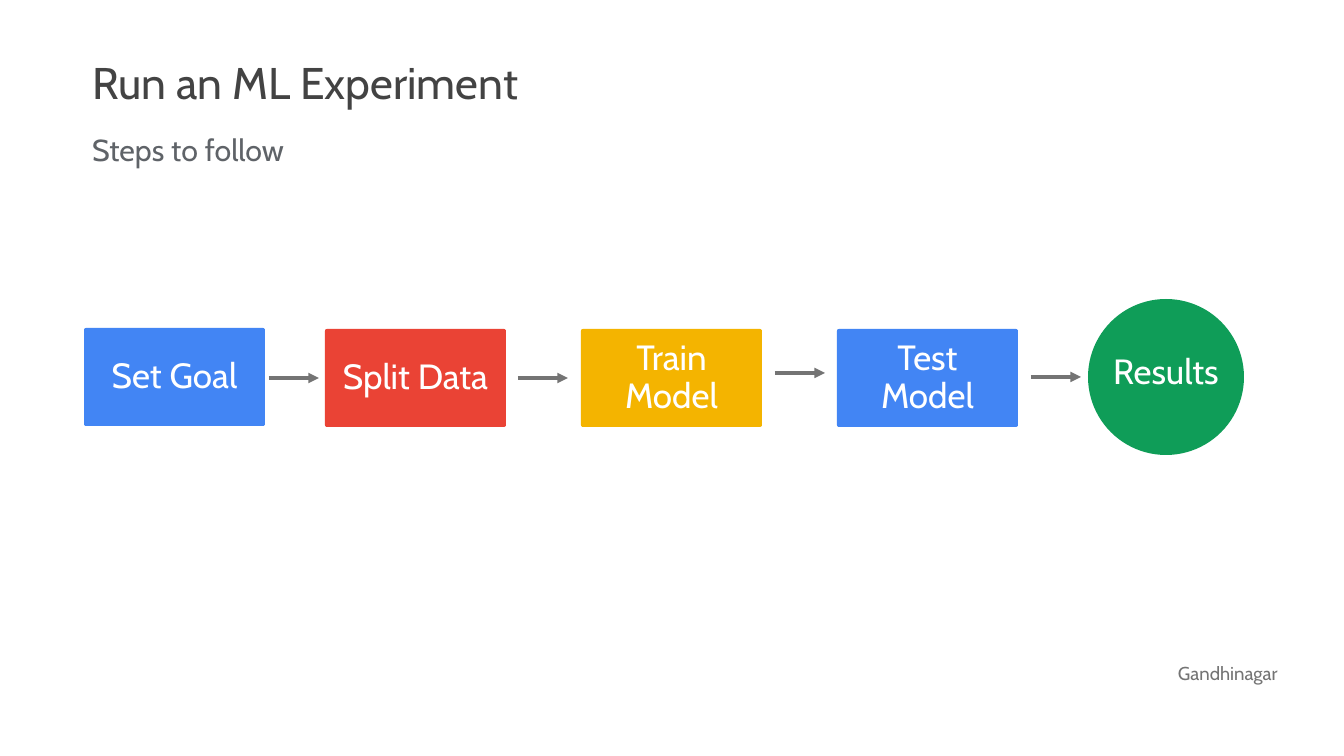
from pptx import Presentation
from pptx.dml.color import RGBColor
from pptx.enum.shapes import MSO_CONNECTOR, MSO_SHAPE
from pptx.enum.text import MSO_ANCHOR, MSO_AUTO_SIZE, PP_ALIGN
from pptx.oxml.ns import qn
from pptx.util import Emu, Pt
from lxml import etree

CARD, DISC = MSO_SHAPE.ROUNDED_RECTANGLE, MSO_SHAPE.OVAL
LINE = MSO_CONNECTOR.STRAIGHT
LEFT, MID = PP_ALIGN.LEFT, PP_ALIGN.CENTER
TOP, CENTER = MSO_ANCHOR.TOP, MSO_ANCHOR.MIDDLE
FIXED = MSO_AUTO_SIZE.NONE

THEME = {
    "font": "Cabin",
    "title": (38, "434343"), "sub": (26, "5F6368"),
    "step": (30, "FFFFFF"), "foot": (16, "747474"),
    "blue": "4285F4", "red": "EA4335", "gold": "F4B400", "green": "0F9D58",
    "arrow": "747474",
}


def px(*nums):
    return [Emu(round(n * 914400 / 84)) for n in nums]


def write(shape, text, style, pad, align=LEFT, anchor=TOP, space=1.0):
    size, color = THEME[style]
    frame = shape.text_frame
    frame.auto_size, frame.word_wrap = FIXED, True
    frame.vertical_anchor = anchor
    (frame.margin_left, frame.margin_top,
     frame.margin_right, frame.margin_bottom) = px(*pad)
    para = frame.paragraphs[0]
    para.alignment, para.line_spacing = align, space
    run = para.add_run()
    run.text = text
    run.font.name, run.font.size = THEME["font"], Pt(size)
    run.font.color.rgb = RGBColor.from_string(color)


deck = Presentation()
deck.slide_width, deck.slide_height = px(1344, 756)
slide = deck.slides.add_slide(deck.slide_layouts[5])
shapes = slide.shapes

# Title, subtitle and footer
title = shapes.title
title.left, title.top, title.width, title.height = px(84, 47, 784, 85)
write(title, "Run an ML Experiment", "title", (8, 8, 8, 8))
sub = shapes.add_textbox(*px(84, 123, 784, 85))
write(sub, "Steps to follow", "sub", (8, 8, 8, 8))
foot = shapes.add_textbox(*px(1178, 659, 160, 77))
write(foot, "Gandhinagar", "foot", (0, 0, 0, 0), space=1.15)

# Steps: text, fill, shape, box, padding
CARD_PAD, DISC_PAD = (14, 14, 14, 14), (0, 0, 0, 8)
steps = [
    ("Set Goal", "blue", CARD, (84, 328, 181, 98), CARD_PAD),
    ("Split Data", "red", CARD, (325, 329, 181, 98), CARD_PAD),
    ("Train Model", "gold", CARD, (581, 329, 181, 98), CARD_PAD),
    ("Test Model", "blue", CARD, (837, 329, 181, 98), CARD_PAD),
    ("Results", "green", DISC, (1088, 299, 156, 156), DISC_PAD),
]
for text, fill, kind, box, pad in steps:
    step = shapes.add_shape(kind, *px(*box))
    step.shadow.inherit = False
    step.fill.solid()
    step.fill.fore_color.rgb = RGBColor.from_string(THEME[fill])
    step.line.fill.background()
    if kind == CARD:
        step.adjustments[0] = 0.02
    write(step, text, "step", pad, MID, CENTER, 0.9)
    if kind == DISC:
        step.text_frame.word_wrap = False

# Arrows between the steps
for left, y in [(269, 378), (518, 378), (775, 373), (1031, 377)]:
    arrow = shapes.add_connector(LINE, *px(left, y, left + 50, y))
    arrow.line.width = Pt(3)
    arrow.line.color.rgb = RGBColor.from_string(THEME["arrow"])
    etree.SubElement(arrow.line._get_or_add_ln(), qn("a:tailEnd"), type="triangle")
    etree.SubElement(arrow._element.spPr, qn("a:effectLst"))

deck.save("out.pptx")
